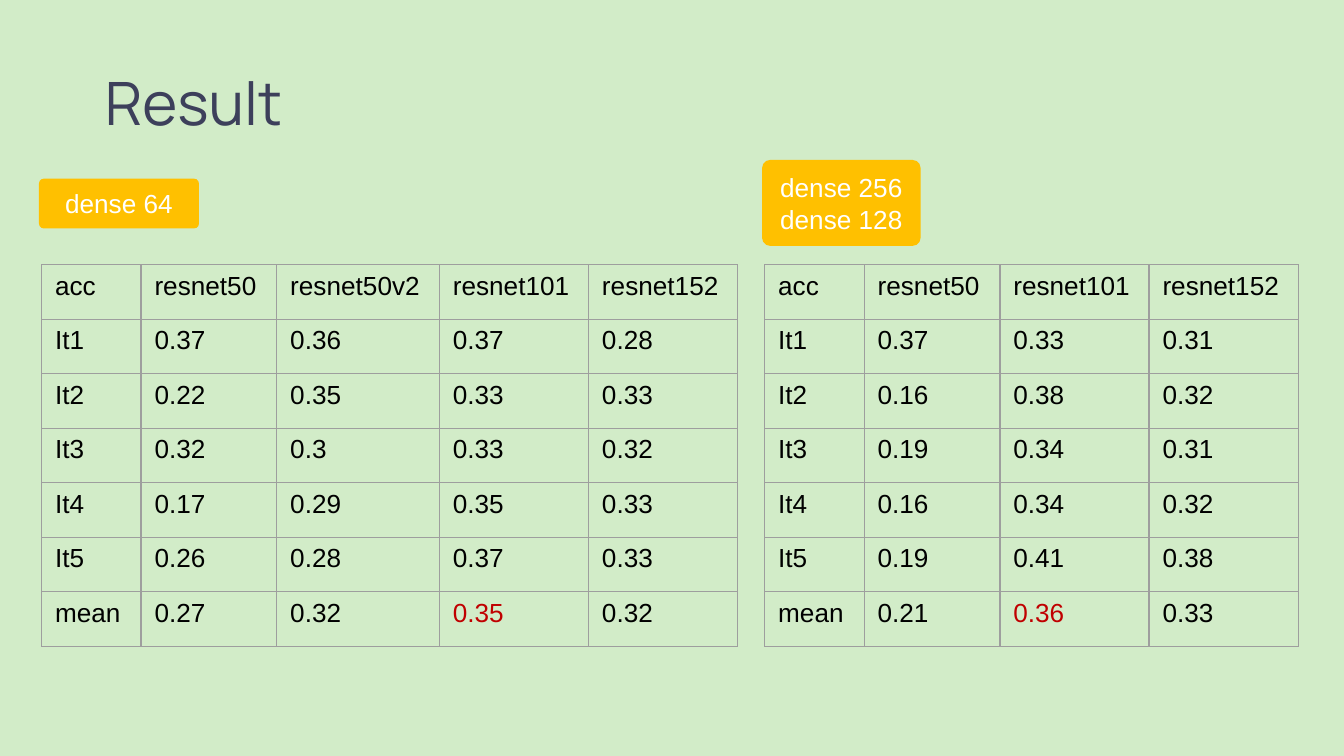
import pptx
import pptx.dml.color
import pptx.enum.shapes
import pptx.enum.text
import pptx.oxml
import pptx.oxml.ns
import pptx.util
from pptx.util import Inches

COLORS = {
    "background": "D2ECC8",
    "title": "3D405B",
    "label": "FFC000",
    "label_text": "FFFFFF",
    "text": "000000",
    "best": "C00000",
    "border": "9E9E9E",
}
COLUMN_WIDTHS = {"acc": 0.74, "resnet50": 1.01, "resnet50v2": 1.21, "resnet101": 1.11, "resnet152": 1.11}
ROW_NAMES = ["It1", "It2", "It3", "It4", "It5", "mean"]
DENSE_64 = {
    "resnet50": ["0.37", "0.22", "0.32", "0.17", "0.26", "0.27"],
    "resnet50v2": ["0.36", "0.35", "0.3", "0.29", "0.28", "0.32"],
    "resnet101": ["0.37", "0.33", "0.33", "0.35", "0.37", "0.35"],
    "resnet152": ["0.28", "0.33", "0.32", "0.33", "0.33", "0.32"],
}
DENSE_256_128 = {
    "resnet50": ["0.37", "0.16", "0.19", "0.16", "0.19", "0.21"],
    "resnet101": ["0.33", "0.38", "0.34", "0.34", "0.41", "0.36"],
    "resnet152": ["0.31", "0.32", "0.31", "0.32", "0.38", "0.33"],
}


def rgb(name):
    """Return the named colour."""
    return pptx.dml.color.RGBColor.from_string(COLORS[name])


def format_text(text_frame, size, color, font="Arial"):
    """Apply one font, size and colour to every run."""
    for paragraph in text_frame.paragraphs:
        for run in paragraph.runs:
            run.font.name = font
            run.font.size = pptx.util.Pt(size)
            run.font.color.rgb = rgb(color)


def add_title(slide, text, left, top, width, height):
    """Place the slide title in its box."""
    shape = slide.shapes.add_textbox(Inches(left), Inches(top), Inches(width), Inches(height))
    frame = shape.text_frame
    frame.word_wrap = True
    frame.margin_left = frame.margin_right = frame.margin_top = frame.margin_bottom = 0
    frame.text = text
    format_text(frame, 32, "title", "Manrope")


def add_label(slide, text, left, top, width, height):
    """Place a rounded label naming the dense layers."""
    shape = slide.shapes.add_shape(
        pptx.enum.shapes.MSO_SHAPE.ROUNDED_RECTANGLE,
        Inches(left), Inches(top), Inches(width), Inches(height))
    shape.adjustments[0] = 0.095
    shape.shadow.inherit = False
    shape.fill.solid()
    shape.fill.fore_color.rgb = rgb("label")
    shape.line.fill.background()
    frame = shape.text_frame
    frame.word_wrap = True
    frame.margin_left = frame.margin_right = frame.margin_top = frame.margin_bottom = Inches(0.1)
    frame.vertical_anchor = pptx.enum.text.MSO_ANCHOR.MIDDLE
    frame.text = text
    for paragraph in frame.paragraphs:
        paragraph.alignment = pptx.enum.text.PP_ALIGN.CENTER
    format_text(frame, 14, "label_text")


def set_borders(cell):
    """Draw a thin line on all four sides of a cell."""
    properties = cell._tc.get_or_add_tcPr()
    for position, side in enumerate(("lnL", "lnR", "lnT", "lnB")):
        properties.insert(position, pptx.oxml.parse_xml(
            f'<a:{side} {pptx.oxml.ns.nsdecls("a")} w="{pptx.util.Pt(0.75)}">'
            f'<a:solidFill><a:srgbClr val="{COLORS["border"]}"/></a:solidFill></a:{side}>'))


def add_accuracy_table(slide, results, left, top, height):
    """Place a table of accuracy by iteration, with the best mean in red."""
    columns = {"acc": ROW_NAMES, **results}
    best_mean = max((values[-1] for values in results.values()), key=float)
    row_count = len(ROW_NAMES) + 1
    width = sum(COLUMN_WIDTHS[name] for name in columns)
    table = slide.shapes.add_table(
        row_count, len(columns), Inches(left), Inches(top), Inches(width), Inches(height)).table
    table.first_row = table.horz_banding = False
    for row in table.rows:
        row.height = Inches(height / row_count)
    for column_index, (name, values) in enumerate(columns.items()):
        table.columns[column_index].width = Inches(COLUMN_WIDTHS[name])
        for row_index, text in enumerate([name, *values]):
            cell = table.cell(row_index, column_index)
            cell.text_frame.text = text
            is_best = row_index == row_count - 1 and text == best_mean
            format_text(cell.text_frame, 14, "best" if is_best else "text")
            cell.fill.background()
            set_borders(cell)


def main():
    """Build and save the result slide."""
    presentation = pptx.Presentation()
    presentation.slide_width = Inches(10)
    presentation.slide_height = Inches(10 * 9 / 16)
    slide = presentation.slides.add_slide(presentation.slide_layouts[6])
    slide.background.fill.solid()
    slide.background.fill.fore_color.rgb = rgb("background")
    add_title(slide, "Result", 0.78, 0.49, 8.43, 0.59)
    add_accuracy_table(slide, DENSE_64, 0.31, 1.97, 2.84)
    add_label(slide, "dense 64", 0.29, 1.33, 1.19, 0.37)
    add_accuracy_table(slide, DENSE_256_128, 5.69, 1.97, 2.84)
    add_label(slide, "dense 256\ndense 128", 5.67, 1.19, 1.18, 0.64)
    presentation.save("out.pptx")


if __name__ == "__main__":
    main()
